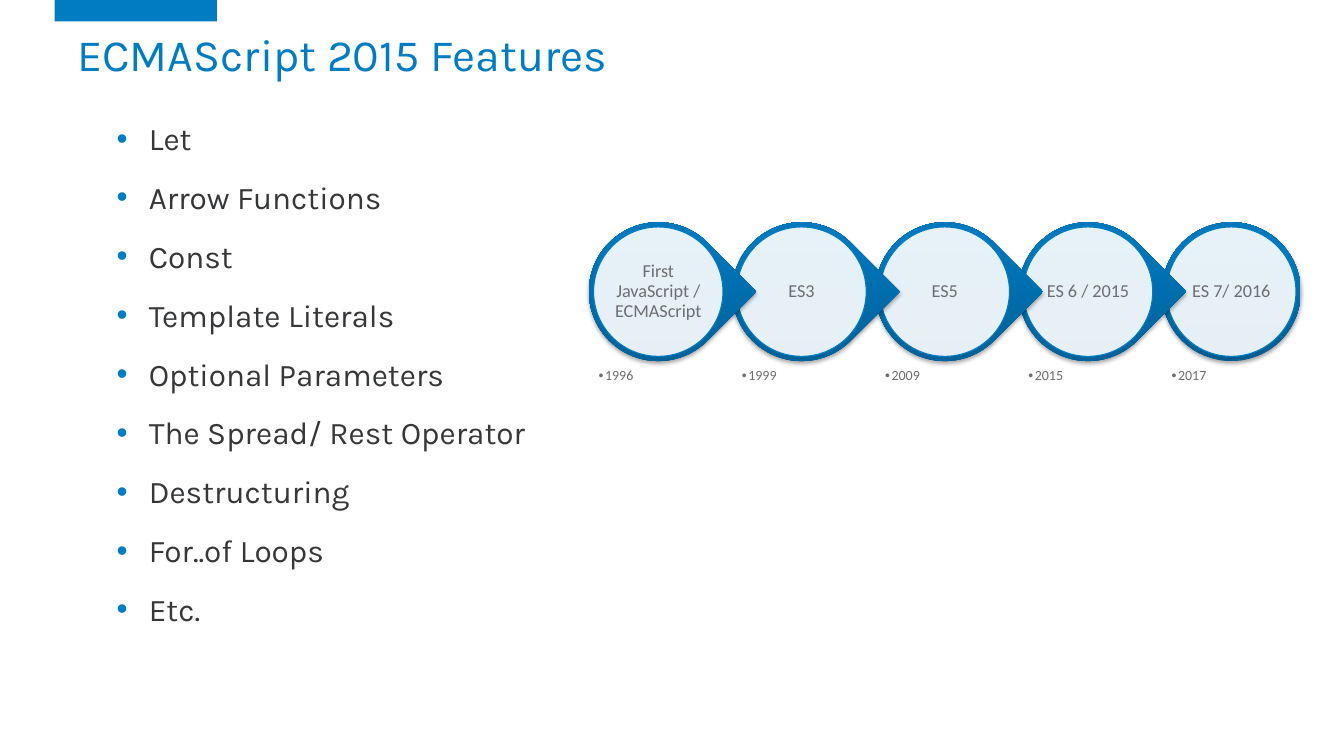
import pptx
import pptx.dml.color
import pptx.enum.shapes
import pptx.enum.text
import pptx.oxml
import pptx.oxml.ns
import pptx.util
from lxml import etree

Cm = pptx.util.Cm
Pt = pptx.util.Pt
RGBColor = pptx.dml.color.RGBColor
SHAPE = pptx.enum.shapes.MSO_SHAPE
ALIGN = pptx.enum.text.PP_ALIGN
ANCHOR = pptx.enum.text.MSO_ANCHOR
qn = pptx.oxml.ns.qn

BLUE = RGBColor(0x00, 0x7C, 0xC3)
DARK = RGBColor(0x36, 0x37, 0x39)
GREY = RGBColor(0x6D, 0x6E, 0x71)
WHITE = RGBColor(0xFF, 0xFF, 0xFF)
GRADIENT = [(0, RGBColor(0x00, 0x5D, 0x92)),
            (80, RGBColor(0x00, 0x78, 0xBD)),
            (100, RGBColor(0x00, 0x79, 0xBE))]

FEATURES = ["Let", "Arrow Functions", "Const", "Template Literals",
            "Optional Parameters", "The Spread/ Rest Operator",
            "Destructuring", "For..of Loops", "Etc."]
VERSIONS = [("First JavaScript / ECMAScript", "1996"), ("ES3", "1999"),
            ("ES5", "2009"), ("ES 6 / 2015", "2015"), ("ES 7/ 2016", "2017")]

TITLE_STYLE = {
    "frame": {"vertical_anchor": ANCHOR.MIDDLE},
    "paragraph": {"line_spacing": 0.9},
    "font": {"name": "Karla", "size": Pt(32)},
    "color": BLUE,
}
FEATURE_STYLE = {
    "frame": {},
    "paragraph": {"space_before": Pt(7.5), "space_after": Pt(7.5)},
    "font": {"name": "Karla", "size": Pt(22.5)},
    "color": DARK,
    "bullet": (Cm(0.81), BLUE),
}
VERSION_STYLE = {
    "frame": {"vertical_anchor": ANCHOR.MIDDLE,
              "margin_left": Cm(0.05), "margin_right": Cm(0.05),
              "margin_top": Cm(0.05), "margin_bottom": Cm(0.05)},
    "paragraph": {"alignment": ALIGN.CENTER, "line_spacing": 0.9},
    "font": {"name": "Calibri", "size": Pt(13)},
    "color": GREY,
}
YEAR_STYLE = {
    "frame": {"margin_left": Cm(0.13), "margin_right": Cm(0.13),
              "margin_top": Cm(0.13), "margin_bottom": Cm(0.13)},
    "paragraph": {"line_spacing": 0.9},
    "font": {"name": "Calibri", "size": Pt(10)},
    "color": GREY,
    "bullet": (Cm(0.16), GREY),
}


def add_text(box, lines, style):
    """Add a text box at box (left, top, width, height in cm), a paragraph per line."""
    frame = slide.shapes.add_textbox(*map(Cm, box)).text_frame
    frame.word_wrap = True
    for name, value in style["frame"].items():
        setattr(frame, name, value)
    frame.text = "\n".join(lines)
    for paragraph in frame.paragraphs:
        font = paragraph.runs[0].font
        for target, part in ((paragraph, "paragraph"), (font, "font")):
            for name, value in style[part].items():
                setattr(target, name, value)
        font.color.rgb = style["color"]
        if "bullet" in style:
            indent, color = style["bullet"]
            properties = paragraph._p.get_or_add_pPr()
            properties.set("marL", str(indent))
            properties.set("indent", str(-indent))
            bullet_color = etree.SubElement(properties, qn("a:buClr"))
            etree.SubElement(bullet_color, qn("a:srgbClr"), val=str(color))
            etree.SubElement(properties, qn("a:buFont"), typeface="Arial")
            etree.SubElement(properties, qn("a:buChar"), char="•")


def add_gradient_and_shadow(shape):
    namespace = pptx.oxml.ns.nsdecls("a")
    stops = "".join(f'<a:gs pos="{position * 1000}"><a:srgbClr val="{color}"/></a:gs>'
                    for position, color in GRADIENT)
    properties = shape._element.spPr
    properties.insert(2, pptx.oxml.parse_xml(
        f'<a:gradFill {namespace} rotWithShape="0"><a:gsLst>{stops}</a:gsLst>'
        '<a:lin ang="16200000" scaled="0"/></a:gradFill>'))
    properties.find(qn("a:effectLst")).append(pptx.oxml.parse_xml(
        f'<a:outerShdw {namespace} blurRad="{Pt(3.1)}" dist="{Pt(1.8)}" dir="5400000" '
        'rotWithShape="0"><a:srgbClr val="000000"><a:alpha val="35000"/></a:srgbClr>'
        '</a:outerShdw>'))


presentation = pptx.Presentation()
presentation.slide_width = Cm(33.87)
presentation.slide_height = Cm(19.05)
slide = presentation.slides.add_slide(presentation.slide_layouts[6])

# Header and feature list
accent = slide.shapes.add_shape(SHAPE.RECTANGLE, Cm(1.38), Cm(0), Cm(4.09), Cm(0.54))
accent.shadow.inherit = False
accent.fill.solid()
accent.fill.fore_color.rgb = BLUE
accent.line.fill.background()
add_text((1.7, 0, 30.48, 2.87), ["ECMAScript 2015 Features"], TITLE_STYLE)
add_text((2.69, 2.88, 30.3, 13.74), FEATURES, FEATURE_STYLE)

# Timeline, drawn from the last version so that each tip covers the next circle
FIRST_LEFT, TOP, PITCH = 14.84, 5.6, 3.61
OUTER, INNER, LABEL = 3.5, 3.26, 2.34
YEAR_TOP, YEAR_HEIGHT = 9.16, 1.91
inner_inset = (OUTER - INNER) / 2
label_inset = (OUTER - LABEL) / 2
last = len(VERSIONS) - 1
for index, (version, year) in reversed(list(enumerate(VERSIONS))):
    left = FIRST_LEFT + index * PITCH
    outline = SHAPE.OVAL if index == last else SHAPE.TEAR
    ring = slide.shapes.add_shape(outline, Cm(left), Cm(TOP), Cm(OUTER), Cm(OUTER))
    ring.rotation = 0 if index == last else 45
    ring.shadow.inherit = False
    ring.line.fill.background()
    add_gradient_and_shadow(ring)

    disc = slide.shapes.add_shape(SHAPE.OVAL, Cm(left + inner_inset),
                                  Cm(TOP + inner_inset), Cm(INNER), Cm(INNER))
    disc.shadow.inherit = False
    disc.fill.solid()
    disc.fill.fore_color.rgb = WHITE
    disc_color = disc._element.spPr.find(qn("a:solidFill"))[0]
    etree.SubElement(disc_color, qn("a:alpha"), val="90000")
    disc.line.color.rgb = BLUE
    disc.line.width = Pt(0.75)

    add_text((left + label_inset, TOP + label_inset, LABEL, LABEL),
             [version], VERSION_STYLE)
    add_text((left + inner_inset, YEAR_TOP, INNER, YEAR_HEIGHT), [year], YEAR_STYLE)

presentation.save("out.pptx")
